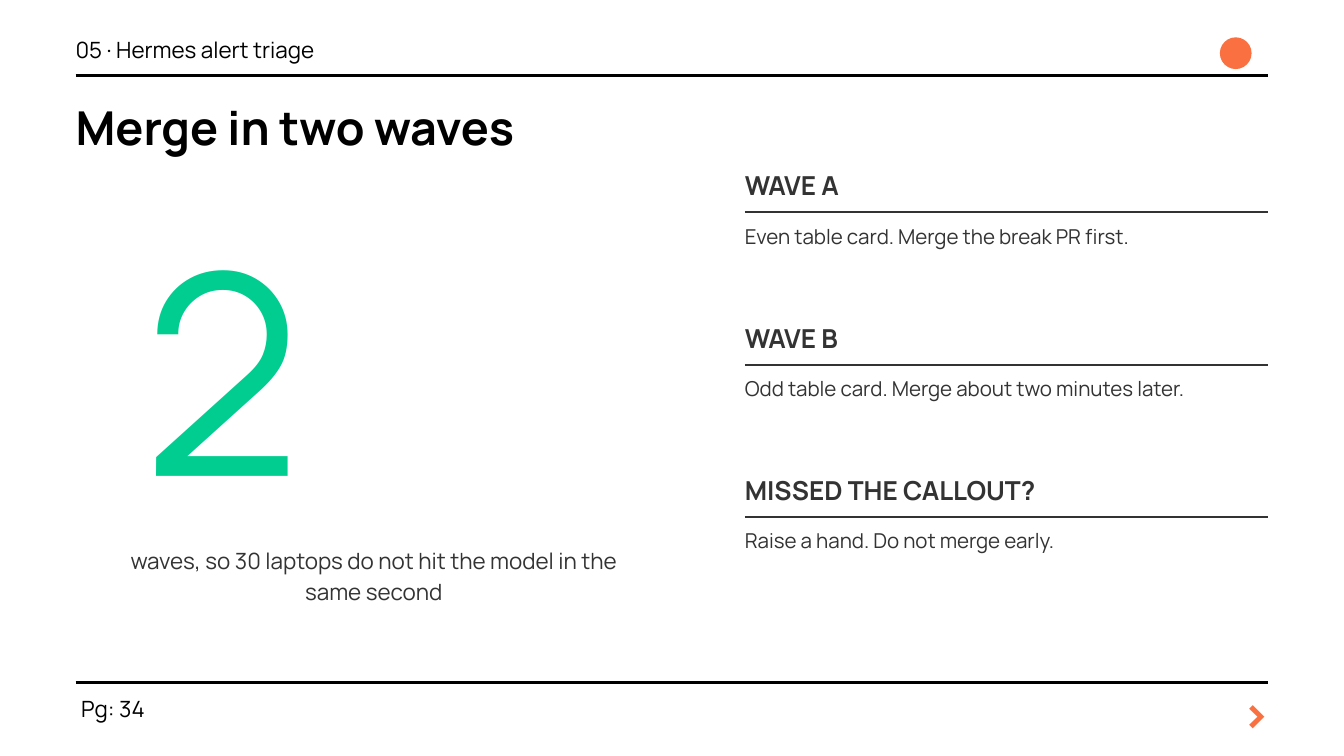
from dataclasses import dataclass

from lxml import etree
from pptx import Presentation
from pptx.dml.color import RGBColor
from pptx.enum.shapes import MSO_CONNECTOR, MSO_SHAPE
from pptx.enum.text import PP_ALIGN
from pptx.oxml.ns import qn
from pptx.util import Pt

LEFT, CENTER = PP_ALIGN.LEFT, PP_ALIGN.CENTER
STRAIGHT, OVAL = MSO_CONNECTOR.STRAIGHT, MSO_SHAPE.OVAL


@dataclass(frozen=True)
class Theme:
    """Holds the colours, font and type sizes of the deck."""
    font: str = "Manrope"
    black: str = "000000"
    gray: str = "333333"
    green: str = "00CD8F"
    orange: str = "FA7040"
    arrow: str = "F97141"
    title: int = 50
    huge: int = 300
    mark: int = 52
    head: int = 28
    label: int = 24
    body: int = 22


THEME = Theme()
WAVES = [
    ("WAVE A", "Even table card. Merge the break PR first."),
    ("WAVE B", "Odd table card. Merge about two minutes later."),
    ("MISSED THE CALLOUT?", "Raise a hand. Do not merge early."),
]


def write(slide, box, text, size, color, bold=False, align=LEFT, lead=1.4):
    """Place one paragraph of text in a box."""
    frame = slide.shapes.add_textbox(*map(Pt, box)).text_frame
    frame.word_wrap = True
    frame.margin_left = frame.margin_right = 0
    frame.margin_top = frame.margin_bottom = 0
    frame.text = text
    para = frame.paragraphs[0]
    para.alignment = align
    para.line_spacing = Pt(size * lead)
    font = para.runs[0].font
    font.name, font.size, font.bold = THEME.font, Pt(size), bold
    font.color.rgb = RGBColor.from_string(color)


def rule(slide, left, top, width, color, weight):
    """Draw a level line."""
    line = slide.shapes.add_connector(
        STRAIGHT, Pt(left), Pt(top), Pt(left + width), Pt(top))
    line.line.color.rgb = RGBColor.from_string(color)
    line.line.width = Pt(weight)
    etree.SubElement(line.element.spPr, qn("a:effectLst"))


def header(slide, box, text, title):
    """Place the running head, its badge and rule, and the slide title."""
    left, top, width, height = box
    write(slide, (left, top, 1008, 33), text, THEME.label, THEME.black)
    badge = slide.shapes.add_shape(
        OVAL, Pt(left + width - 52), Pt(top + 6), Pt(34), Pt(34))
    badge.shadow.inherit = False
    badge.fill.solid()
    badge.fill.fore_color.rgb = RGBColor.from_string(THEME.orange)
    badge.line.fill.background()
    rule(slide, left, top + height, width, THEME.black, 3)
    write(slide, (left, top + height + 15, 1188, 67.5), title,
          THEME.title, THEME.black, bold=True)


def footer(slide, box, text):
    """Place the bottom rule, page number and arrow."""
    left, top, width, height = box
    rule(slide, left, top, width, THEME.black, 3)
    write(slide, (left + 6, top + 9, 115, 32), text, THEME.label, THEME.black)
    write(slide, (left + width - 30, top - 9, 29.5, height), ">",
          THEME.mark, THEME.arrow, bold=True, align=CENTER)


def figure(slide, box, number, note):
    """Place a huge number above its caption."""
    left, top, width, height = box
    write(slide, (left + 33, top, width - 67, 359), number,
          THEME.huge, THEME.green, lead=1.2)
    write(slide, (left, top + height - 67.5, width, 67.5), note,
          THEME.label, THEME.gray, align=CENTER)


def waves(slide, box, items):
    """Stack ruled headings with their text at equal steps."""
    left, top, width, height = box
    step = height / len(items)
    for row, (head, body) in enumerate(items):
        y = top + row * step
        write(slide, (left, y, width, 39.5), head,
              THEME.head, THEME.gray, bold=True)
        rule(slide, left, y + 51.25, width, THEME.gray, 2.25)
        write(slide, (left, y + 59, width, 67.5), body,
              THEME.body, THEME.gray)


def main():
    """Build and save the slide."""
    deck = Presentation()
    deck.slide_width, deck.slide_height = Pt(1440), Pt(810)
    slide = deck.slides.add_slide(deck.slide_layouts[6])
    header(slide, (81, 34, 1278, 47), "05 · Hermes alert triage",
           "Merge in two waves")
    figure(slide, (120, 211, 561, 437.5), "2",
           "waves, so 30 laptops do not hit the model in the same second")
    waves(slide, (798, 176.4, 561, 489), WAVES)
    footer(slide, (81, 731, 1278, 70), "Pg: 34")
    deck.save("out.pptx")


if __name__ == "__main__":
    main()
